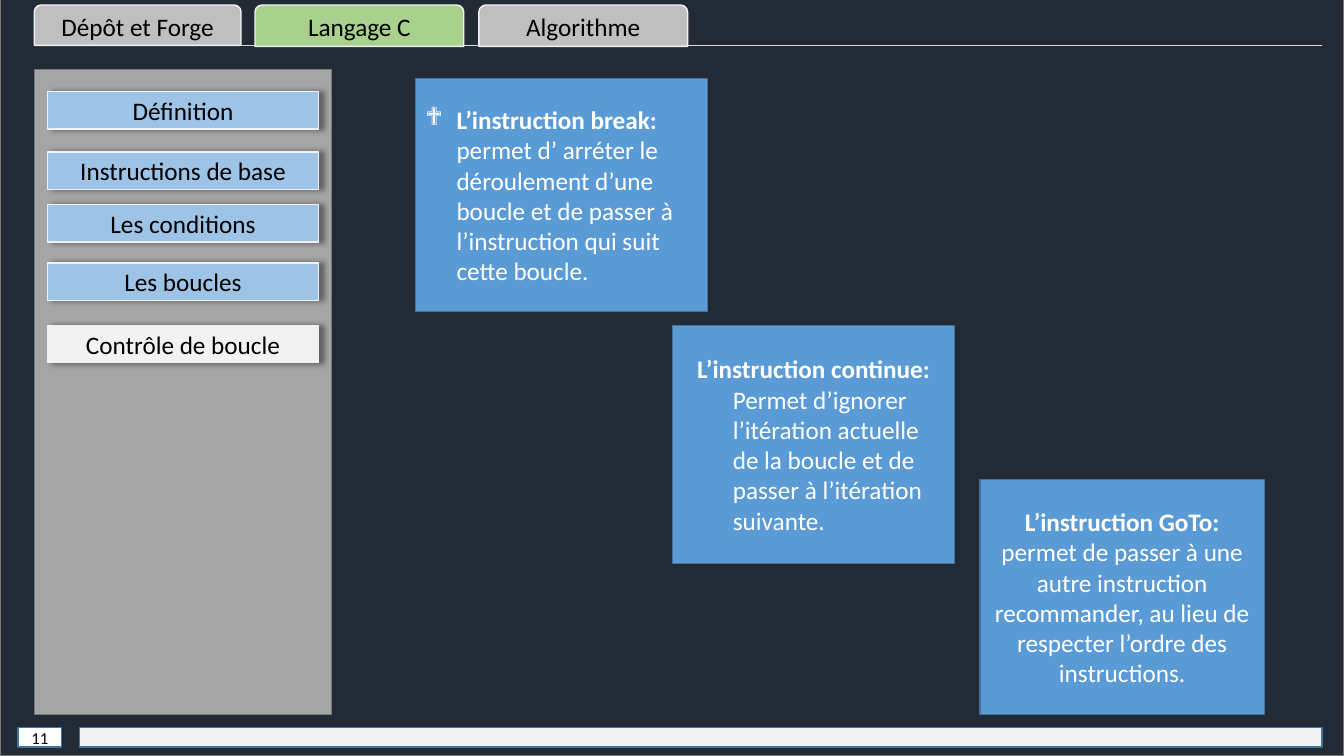
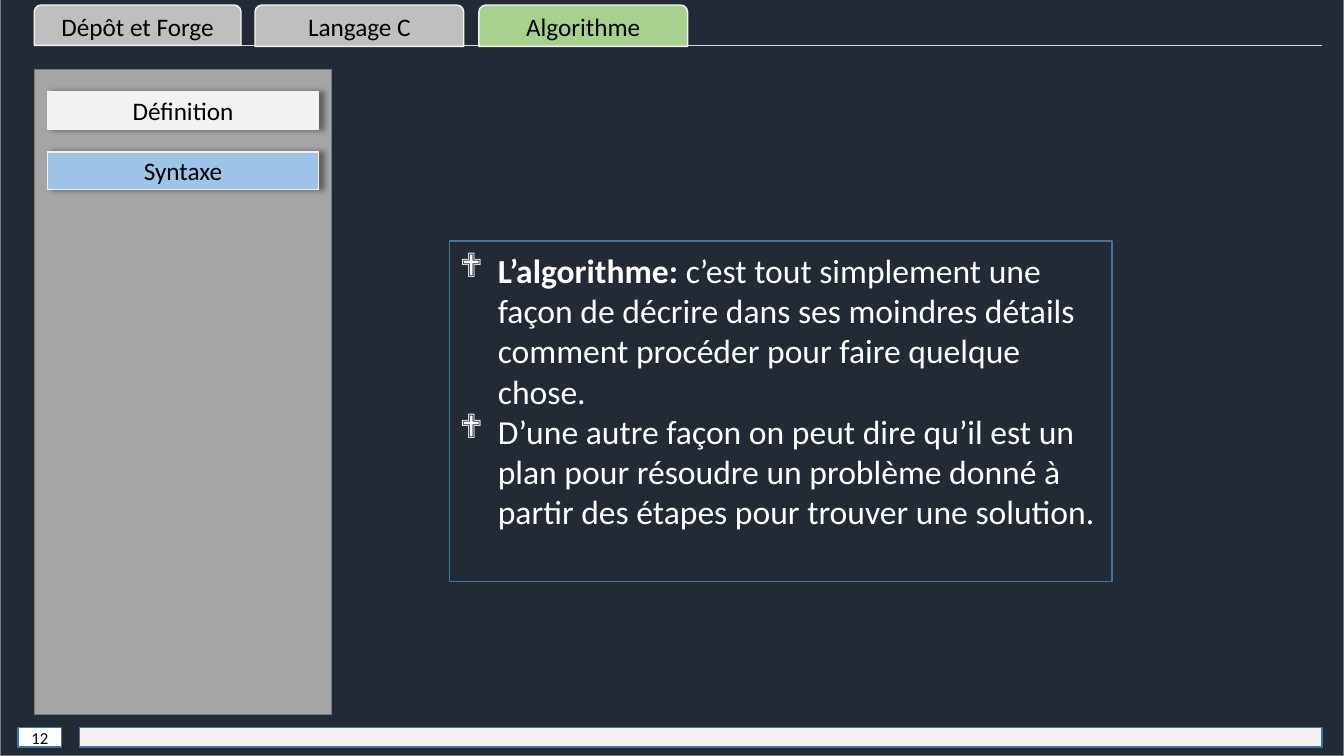
from dataclasses import dataclass

from lxml.etree import SubElement
from pptx import Presentation
from pptx.dml.color import RGBColor
from pptx.enum.shapes import MSO_CONNECTOR, MSO_SHAPE
from pptx.enum.text import MSO_ANCHOR, PP_ALIGN
from pptx.oxml.ns import qn
from pptx.util import Inches, Pt

COLORS = {
    "night": "222A35",
    "night_edge": "7A7A7A",
    "sidebar": "A5A5A5",
    "entry": "9DC3E6",
    "light": "F2F2F2",
    "tab": "BFBFBF",
    "tab_active": "A9D18E",
    "rule": "D9D9D9",
    "card": "5B9BD5",
    "edge": "43739E",
    "white": "FFFFFF",
    "black": "000000",
}
FONT = "Calibri"
BULLET_FONT = "Wingdings"
TABS = [
    ("Dépôt et Forge", 0.34, 2.05, 0.4),
    ("Langage C", 2.53, 2.07, 0.41),
    ("Algorithme", 4.75, 2.07, 0.41),
]
ENTRY_OFFSETS = [0.22, 0.82, 1.34, 1.92, 2.54]


@dataclass
class Passage:
    """One paragraph with a bold lead and a plain body."""

    lead: str = ""
    body: str = ""
    align: PP_ALIGN = PP_ALIGN.LEFT
    indent: float = 0
    bullet: str = ""


def rgb(name):
    """Return the named colour."""
    return RGBColor.from_string(COLORS[name])


def add_panel(slide, box, fill, edge, outline=MSO_SHAPE.RECTANGLE):
    """Add a flat shape; without a fill name it stays transparent."""
    panel = slide.shapes.add_shape(outline, *map(Inches, box))
    if fill:
        panel.fill.solid()
        panel.fill.fore_color.rgb = rgb(fill)
    else:
        panel.fill.background()
    panel.line.color.rgb = rgb(edge)
    panel.line.width = Pt(1)
    panel.shadow.inherit = False
    return panel


def cast_shadow(panel):
    """Give a panel a soft shadow to its right."""
    effects = panel._element.spPr.find(qn("a:effectLst"))
    shadow = SubElement(effects, qn("a:outerShdw"), blurRad=str(Pt(4)),
                        dist=str(Pt(3)), dir="0", algn="l", rotWithShape="0")
    color = SubElement(shadow, qn("a:srgbClr"), val=COLORS["black"])
    SubElement(color, qn("a:alpha"), val="40000")


def write(panel, passages, size, color):
    """Fill a panel with vertically centred passages."""
    frame = panel.text_frame
    frame.word_wrap = True
    frame.vertical_anchor = MSO_ANCHOR.MIDDLE
    for index, passage in enumerate(passages):
        paragraph = frame.add_paragraph() if index else frame.paragraphs[0]
        paragraph.alignment = passage.align
        properties = paragraph._p.get_or_add_pPr()
        if passage.indent:
            properties.set("marL", str(Inches(passage.indent)))
        if passage.bullet:
            properties.set("indent", str(-Inches(passage.indent)))
            SubElement(properties, qn("a:buFont"), typeface=BULLET_FONT)
            SubElement(properties, qn("a:buChar"), char=passage.bullet)
        paragraph.font.name = FONT
        paragraph.font.size = Pt(size)
        paragraph.font.color.rgb = rgb(color)
        for text, bold in ((passage.lead, True), (passage.body, False)):
            if text:
                run = paragraph.add_run()
                run.text = text
                run.font.bold = bold


def add_label(slide, box, text, fill, edge, size=18, outline=MSO_SHAPE.RECTANGLE):
    """Add a panel with one centred black line of text."""
    panel = add_panel(slide, box, fill, edge, outline)
    write(panel, [Passage(body=text, align=PP_ALIGN.CENTER)], size, "black")
    return panel


def add_tabs(slide, active):
    """Draw the rule and the tabs at the top, with one tab active."""
    rule = slide.shapes.add_connector(
        MSO_CONNECTOR.STRAIGHT, Inches(2.39), Inches(0.45), Inches(13.11), Inches(0.45))
    rule.line.color.rgb = rgb("rule")
    rule.line.width = Pt(0.5)
    SubElement(rule._element.spPr, qn("a:effectLst"))
    for text, left, width, height in TABS:
        fill = "tab_active" if text == active else "tab"
        add_label(slide, (left, 0.05, width, height), text, fill, "light",
                  outline=MSO_SHAPE.ROUND_2_SAME_RECTANGLE)


def add_sidebar(slide, box, entries, active):
    """Draw the chapter menu with one entry active."""
    add_panel(slide, box, "sidebar", "night_edge")
    left, top, width, _ = box
    for text, offset in zip(entries, ENTRY_OFFSETS):
        fill = "light" if text == active else "entry"
        entry_box = (left + 0.13, top + offset, width - 0.26, 0.37)
        cast_shadow(add_label(slide, entry_box, text, fill, "light"))


def add_footer(slide, number, top=7.22, height=0.19):
    """Draw the bottom band and the page number."""
    add_panel(slide, (0.79, top, 12.32, height), "light", "edge")
    add_label(slide, (0.18, top, 0.43, height), number, "white", "edge", size=12)


def add_lesson(deck, tab, entries, active, number):
    """Add a slide with the shared frame and return it."""
    slide = deck.slides.add_slide(deck.slide_layouts[6])
    add_panel(slide, (0, -0.05, 13.33, 7.55), "night", "night_edge")
    add_sidebar(slide, (0.34, 0.69, 2.95, 6.4), entries, active)
    add_tabs(slide, tab)
    add_footer(slide, number)
    return slide


def add_loop_control(deck):
    """Add the slide on the three loop control instructions."""
    entries = ["Définition", "Instructions de base", "Les conditions",
               "Les boucles", "Contrôle de boucle"]
    slide = add_lesson(deck, "Langage C", entries, "Contrôle de boucle", "11")
    cards = [
        ((4.12, 0.78, 2.9, 2.31), [Passage(
            "L’instruction break: ",
            "permet d’ arréter le déroulement d’une boucle et de passer à "
            "l’instruction qui suit cette boucle.",
            indent=0.31, bullet="❖")]),
        ((6.67, 3.23, 2.8, 2.36), [
            Passage("L’instruction continue:", align=PP_ALIGN.CENTER),
            Passage(body="Permet d’ignorer l’itération actuelle de la boucle et de "
                         "passer à l’itération suivante.", indent=0.5)]),
        ((9.72, 4.76, 2.82, 2.33), [Passage(
            "L’instruction GoTo: ",
            "permet de passer à une autre instruction recommander, au lieu de "
            "respecter l’ordre des instructions.",
            align=PP_ALIGN.CENTER)]),
    ]
    for box, passages in cards:
        write(add_panel(slide, box, "card", "edge"), passages, 18, "white")


def add_algorithm(deck):
    """Add the slide that defines an algorithm."""
    slide = add_lesson(deck, "Algorithme", ["Définition", "Syntaxe"], "Définition", "12")
    definition = add_panel(slide, (4.46, 2.39, 6.57, 3.38), None, "edge")
    definition.text_frame.margin_bottom = Inches(0.46)
    write(definition, [
        Passage("L’algorithme: ",
                "c’est tout simplement une façon de décrire dans ses moindres détails "
                "comment procéder pour faire quelque chose.",
                indent=0.38, bullet="❖"),
        Passage(body="D’une autre façon on peut dire qu’il est un plan pour résoudre un "
                     "problème donné à partir des étapes pour trouver une solution.",
                indent=0.38, bullet="❖"),
    ], 24, "white")


def main():
    """Build and save the deck."""
    deck = Presentation()
    deck.slide_width = Inches(13.33)
    deck.slide_height = Inches(7.5)
    add_loop_control(deck)
    add_algorithm(deck)
    deck.save("out.pptx")


if __name__ == "__main__":
    main()
